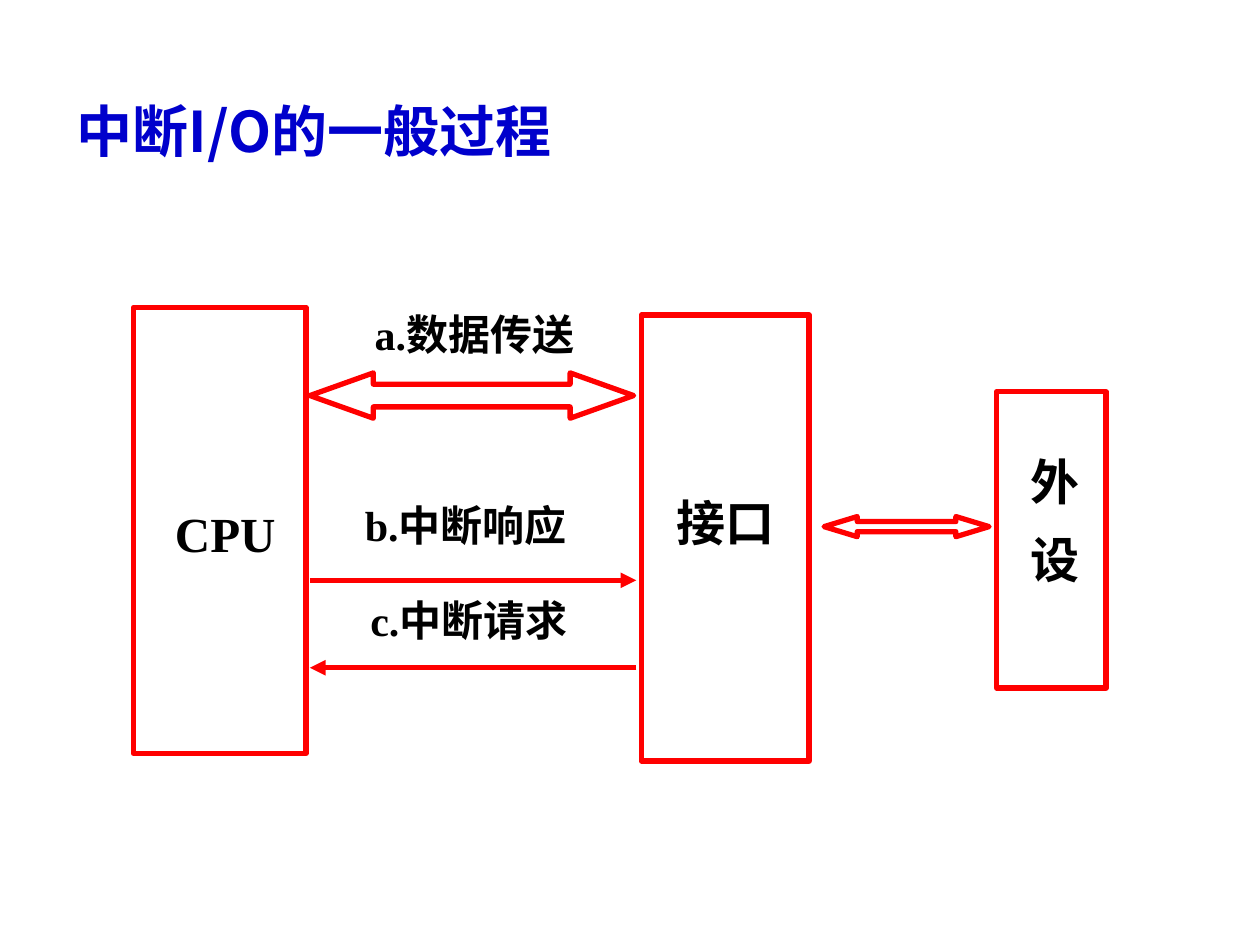
import pptx
import pptx.util
from lxml import etree
from pptx.dml.color import RGBColor
from pptx.enum.shapes import MSO_CONNECTOR, MSO_SHAPE
from pptx.enum.text import MSO_ANCHOR, PP_ALIGN
from pptx.oxml.ns import qn

Pt = pptx.util.Pt

RED = RGBColor(0xFF, 0x00, 0x00)
BLUE = RGBColor(0x00, 0x00, 0xCC)
BLACK = RGBColor(0x00, 0x00, 0x00)
HAN_FONT = "Noto Sans CJK SC"
LATIN_FONT = "Times New Roman"


class Diagram:
    """Outline style and the slide being drawn on; all lengths in points."""

    stroke = 3
    paragraph_gap = 11

    def __init__(self, slide):
        self.slide = slide

    def outline(self, kind, left, top, width, height):
        shape = self.slide.shapes.add_shape(
            kind, Pt(left), Pt(top), Pt(width), Pt(height))
        shape.shadow.inherit = False
        shape.fill.background()
        shape.line.color.rgb = RED
        shape.line.width = Pt(self.stroke)
        return shape

    def block(self, left, top, width, height):
        self.outline(MSO_SHAPE.RECTANGLE, left, top, width, height)

    def double_arrow(self, left, top, width, height, head):
        arrow = self.outline(
            MSO_SHAPE.LEFT_RIGHT_ARROW, left, top, width, height)
        arrow.adjustments[0] = 0.5
        arrow.adjustments[1] = head

    def signal(self, start, end, y):
        line = self.slide.shapes.add_connector(
            MSO_CONNECTOR.STRAIGHT, Pt(start), Pt(y), Pt(end), Pt(y))
        line.line.color.rgb = RED
        line.line.width = Pt(self.stroke)
        etree.SubElement(line.line._get_or_add_ln(), qn("a:tailEnd"),
                         type="triangle")
        etree.SubElement(line._element.spPr, qn("a:effectLst"))

    def text(self, lines, left, top, width, height, size, color=BLACK,
             font=LATIN_FONT, align=PP_ALIGN.LEFT, anchor=MSO_ANCHOR.MIDDLE,
             margin=3.6):
        frame = self.slide.shapes.add_textbox(
            Pt(left), Pt(top), Pt(width), Pt(height)).text_frame
        frame.word_wrap = True
        frame.vertical_anchor = anchor
        frame.margin_top = frame.margin_bottom = Pt(margin)
        for index, line in enumerate(lines):
            paragraph = frame.add_paragraph() if index else frame.paragraphs[0]
            paragraph.alignment = align
            if index:
                paragraph.space_before = Pt(self.paragraph_gap)
            run = paragraph.add_run()
            run.text = line
            run.font.name = font
            run.font.size = Pt(size)
            run.font.bold = True
            run.font.color.rgb = color
            # East Asian typeface
            etree.SubElement(run.font._element, qn("a:ea"), typeface=HAN_FONT)


def main():
    deck = pptx.Presentation()
    deck.slide_width, deck.slide_height = Pt(720), Pt(540)
    diagram = Diagram(deck.slides.add_slide(deck.slide_layouts[6]))

    # Title
    diagram.text(["中断I/O的一般过程"], 36.7, 48, 558, 45.4, 32, BLUE, HAN_FONT,
                 anchor=MSO_ANCHOR.BOTTOM, margin=0)

    # CPU, interface and peripheral blocks
    diagram.block(76.3, 175.7, 98.6, 254.9)
    diagram.block(366.5, 180, 95.8, 254.9)
    diagram.block(569.5, 223.9, 62.6, 169.2)

    # Data paths and interrupt signals
    cpu_side, interface_side = 177.1, 363.6
    diagram.double_arrow(cpu_side, 213.1, 185, 25.9, 1.4)
    diagram.signal(cpu_side, interface_side, 331.6)
    diagram.signal(interface_side, cpu_side, 381.6)
    diagram.double_arrow(470.9, 295.2, 94.3, 11.5, 1.65)

    # Step labels
    for step, left, top in (("a.数据传送", 188.6, 172.5),
                            ("b.中断响应", 183.6, 282),
                            ("c.中断请求", 185.4, 336)):
        diagram.text([step], left, top, 165, 36, 24, align=PP_ALIGN.CENTER)

    # Block names
    diagram.text(["CPU"], 92.9, 283.8, 80.6, 41, 28)
    diagram.text(["接口"], 379.4, 277.6, 80.6, 41, 28)
    diagram.text(["外", "设"], 581.8, 251, 38.2, 92.2, 28)

    deck.save("out.pptx")


if __name__ == "__main__":
    main()
